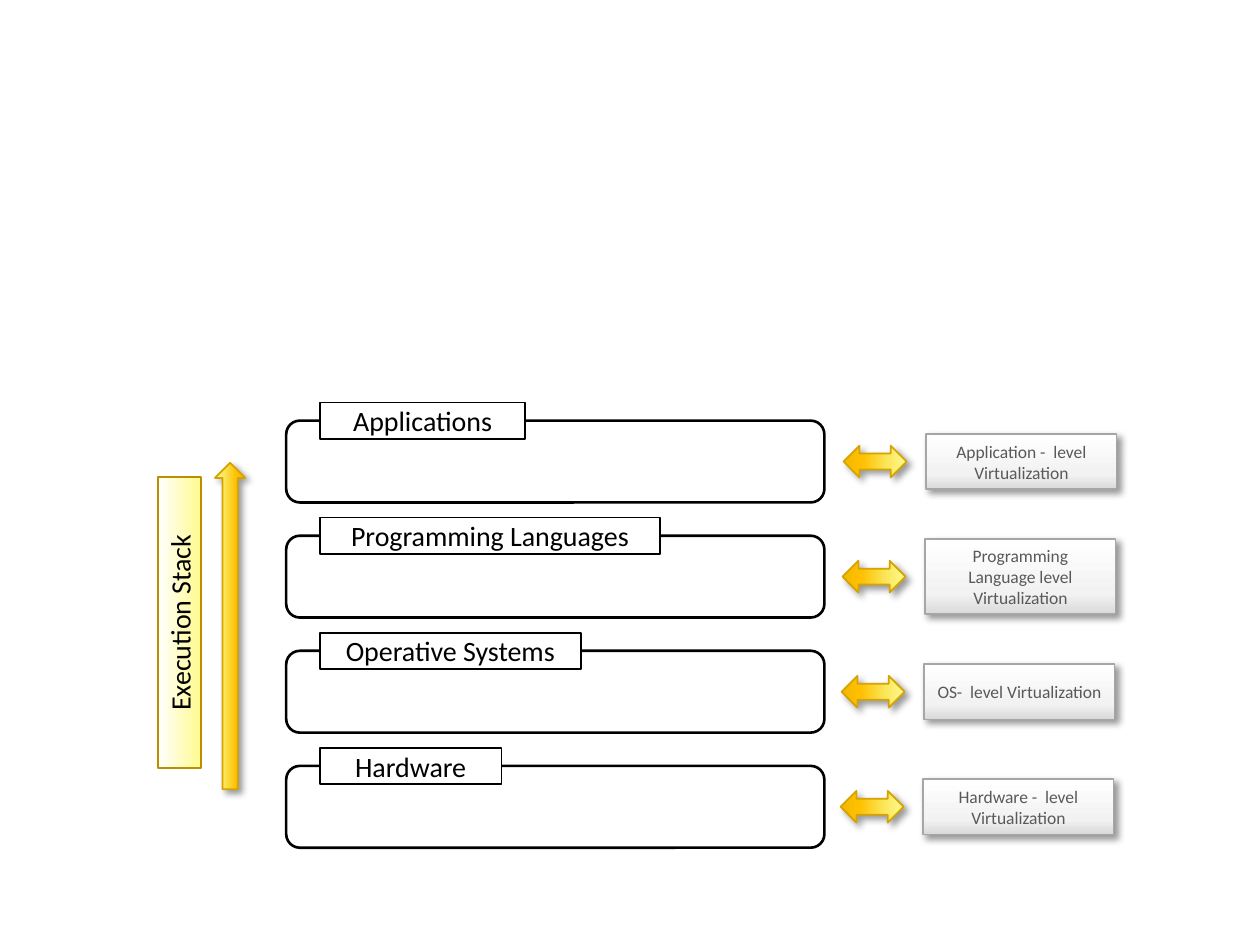
"""Build a slide showing the execution stack and its virtualization levels."""

import pptx
import pptx.dml.color
import pptx.enum.shapes
import pptx.enum.text
import pptx.oxml
import pptx.oxml.ns
import pptx.util

LAYERS = [
    ("Applications", 4.14, "Application -  level Virtualization", 1.12),
    ("Programming Languages", 6.86, "Programming Language level Virtualization", 1.52),
    ("Operative Systems", 5.26, "OS-  level Virtualization", 1.12),
    ("Hardware", 3.66, "Hardware -  level Virtualization", 1.12),
]
STACK_TITLE = "Execution Stack"

COLORS = {
    "white": "FFFFFF",
    "black": "000000",
    "title_line": "BC8F00",
    "arrow_line": "D6A300",
    "callout_line": "A6A6A6",
    "callout_text": "595959",
}
GRADIENTS = {
    "title": [(0, "FFFFFF"), (100, "FFFA8F")],
    "gold": [(0, "FFFA8F"), (30, "FAE75C"), (70, "FFC000"), (100, "F2B800")],
    "silver": [(0, "FFFFFF"), (73, "F2F2F2"), (100, "D9D9D9")],
}
FONT = "Calibri"
Cm = pptx.util.Cm
KINDS = pptx.enum.shapes.MSO_SHAPE

LAYER_LEFT, LAYER_TOP, LAYER_PITCH = 5.77, 8.48, 2.32
LAYER_WIDTH, LAYER_HEIGHT = 10.85, 1.65
LABEL_LEFT, LABEL_HEIGHT = 6.45, 0.73
ARROW_CENTER, CALLOUT_LEFT, CALLOUT_WIDTH = 17.64, 18.67, 3.84
ROW_SHIFT = 0.02


def rgb(name):
    return pptx.dml.color.RGBColor.from_string(COLORS[name])


def set_gradient(shape, stops):
    shape.fill.gradient()
    gradient = shape._element.spPr.find(pptx.oxml.ns.qn("a:gradFill"))
    stop_xml = "".join(
        f'<a:gs pos="{position * 1000}"><a:srgbClr val="{color}"/></a:gs>'
        for position, color in stops
    )
    replacement = pptx.oxml.parse_xml(
        f'<a:gradFill {pptx.oxml.ns.nsdecls("a")} rotWithShape="1">'
        f'<a:gsLst>{stop_xml}</a:gsLst><a:lin ang="5400000" scaled="0"/></a:gradFill>'
    )
    gradient.getparent().replace(gradient, replacement)


def add_shadow(shape):
    effects = shape._element.spPr.find(pptx.oxml.ns.qn("a:effectLst"))
    effects.append(pptx.oxml.parse_xml(
        f'<a:outerShdw {pptx.oxml.ns.nsdecls("a")} blurRad="50800" dist="38100" '
        f'dir="2700000" algn="tl" rotWithShape="0"><a:srgbClr val="{COLORS["black"]}">'
        '<a:alpha val="40000"/></a:srgbClr></a:outerShdw>'
    ))


def add_block(slide, kind, center, size, line, line_width=1, gradient=None,
              rotation=0, shadow=False):
    left, top = (middle - length / 2 for middle, length in zip(center, size))
    shape = slide.shapes.add_shape(kind, Cm(left), Cm(top), Cm(size[0]), Cm(size[1]))
    shape.rotation = rotation
    shape.shadow.inherit = False
    if gradient:
        set_gradient(shape, GRADIENTS[gradient])
    else:
        shape.fill.solid()
        shape.fill.fore_color.rgb = rgb("white")
    shape.line.color.rgb = rgb(line)
    shape.line.width = pptx.util.Pt(line_width)
    if shadow:
        add_shadow(shape)
    return shape


def write(shape, text, size, color):
    frame = shape.text_frame
    frame.text = text
    frame.word_wrap = True
    frame.vertical_anchor = pptx.enum.text.MSO_ANCHOR.MIDDLE
    paragraph = frame.paragraphs[0]
    paragraph.alignment = pptx.enum.text.PP_ALIGN.CENTER
    font = paragraph.runs[0].font
    font.name = FONT
    font.size = pptx.util.Pt(size)
    font.color.rgb = rgb(color)


def add_layer(slide, index, name, label_width, level, callout_height):
    top = LAYER_TOP + index * LAYER_PITCH
    middle = top + LAYER_HEIGHT / 2
    shift = index * ROW_SHIFT
    add_block(slide, KINDS.ROUNDED_RECTANGLE, (LAYER_LEFT + LAYER_WIDTH / 2, middle),
              (LAYER_WIDTH, LAYER_HEIGHT), "black", 1.5)
    label = add_block(slide, KINDS.RECTANGLE, (LABEL_LEFT + label_width / 2, top),
                      (label_width, LABEL_HEIGHT), "black")
    write(label, name, 16, "black")
    add_block(slide, KINDS.UP_DOWN_ARROW, (ARROW_CENTER - shift, middle), (0.64, 1.27),
              "arrow_line", gradient="gold", rotation=90, shadow=True)
    callout = add_block(slide, KINDS.RECTANGLE,
                        (CALLOUT_LEFT + CALLOUT_WIDTH / 2 - shift, middle),
                        (CALLOUT_WIDTH, callout_height), "callout_line",
                        gradient="silver", shadow=True)
    write(callout, level, 10, "callout_text")


def main():
    presentation = pptx.Presentation()
    presentation.slide_width, presentation.slide_height = Cm(25.4), Cm(19.05)
    slide = presentation.slides.add_slide(presentation.slide_layouts[6])

    title = add_block(slide, KINDS.RECTANGLE, (3.62, 12.55), (5.87, 0.86),
                      "title_line", gradient="title", rotation=270)
    write(title, STACK_TITLE, 16, "black")
    add_block(slide, KINDS.RIGHT_ARROW, (4.64, 12.62), (6.58, 0.61), "arrow_line",
              gradient="gold", rotation=270, shadow=True)
    for index, layer in enumerate(LAYERS):
        add_layer(slide, index, *layer)

    presentation.save("out.pptx")


if __name__ == "__main__":
    main()
